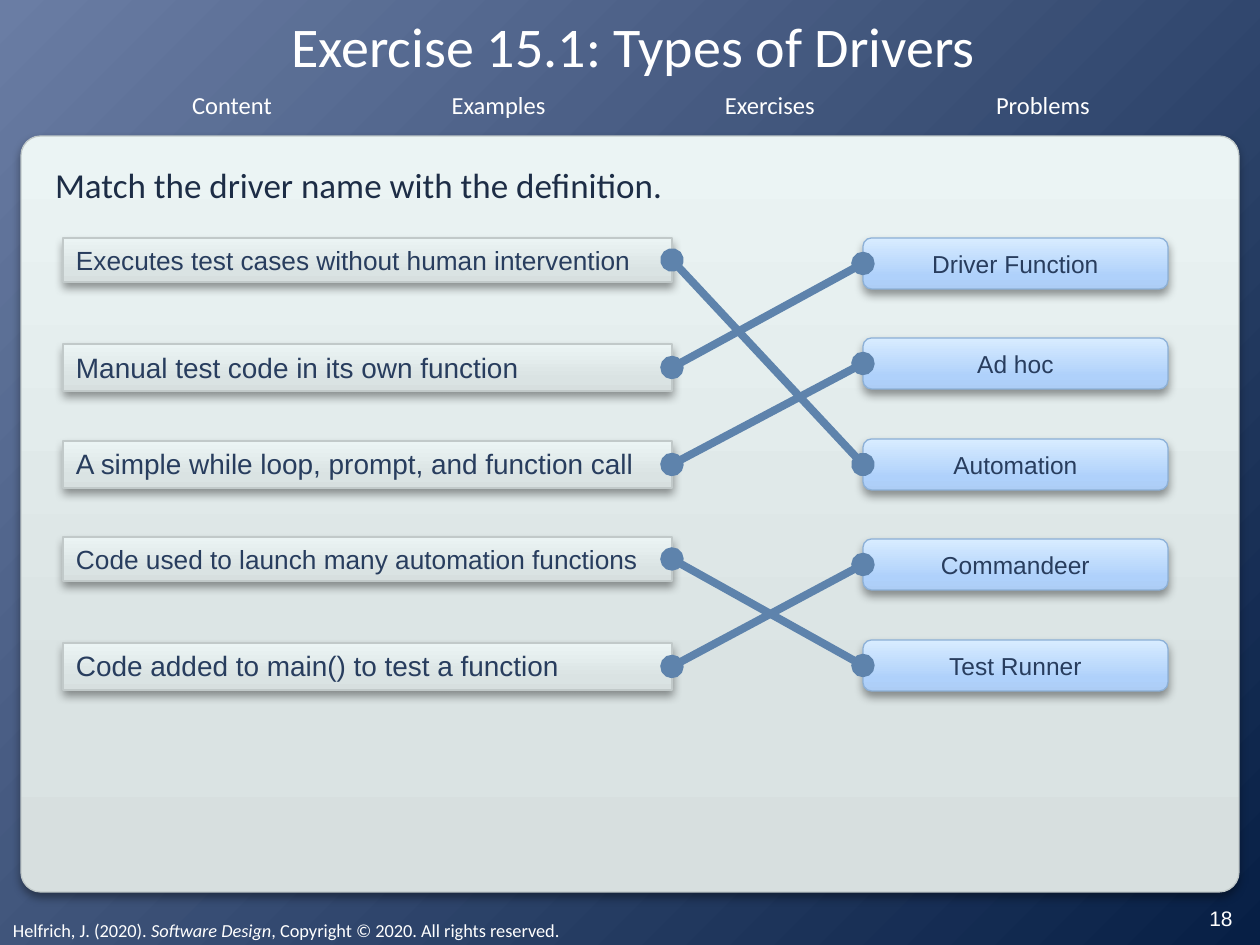
from copy import deepcopy

from lxml import etree
from pptx import Presentation
from pptx.dml.color import RGBColor
from pptx.enum.shapes import MSO_CONNECTOR as Connector, MSO_SHAPE as Shape
from pptx.enum.text import MSO_ANCHOR as Anchor, MSO_AUTO_SIZE as AutoSize, PP_ALIGN as Align
from pptx.oxml.ns import qn
from pptx.util import Pt

EMU_PER_PX = 914400 / 126
WIDTH, HEIGHT = 1260, 945
COLORS = {
    "backdrop_light": "6A7DA4", "backdrop_dark": "071F45",
    "gray_low": "D7DFDF", "gray_mid": "DAE3E3", "gray_high": "EBF4F4", "gray_edge": "C1C9C9",
    "blue_low": "ADCDF5", "blue_mid": "AFD1FB", "blue_high": "D8ECFF", "blue_edge": "8CB0D7",
    "white": "FFFFFF", "heading": "1D2D46", "label": "283D5E",
    "link": "5E83AC", "shadow": "000000",
}


def px(length):
    return round(length * EMU_PER_PX)


def rgb(name):
    return RGBColor.from_string(COLORS[name])


def write_text(shape, text, size=14, font="Calibri", color="white", align=Align.LEFT,
               anchor=Anchor.TOP, wrap=True, grow=False, inset=(13, 6)):
    """Write text, given as a string or as (words, italic) pairs."""
    frame = shape.text_frame
    frame.word_wrap = wrap
    frame.auto_size = AutoSize.SHAPE_TO_FIT_TEXT if grow else AutoSize.NONE
    frame.vertical_anchor = anchor
    frame.margin_left = frame.margin_right = px(inset[0])
    frame.margin_top = frame.margin_bottom = px(inset[1])
    paragraph = frame.paragraphs[0]
    paragraph.alignment = align
    for words, italic in [(text, False)] if isinstance(text, str) else text:
        run = paragraph.add_run()
        run.text = words
        run.font.size, run.font.name, run.font.italic = Pt(size), font, italic
        run.font.color.rgb = rgb(color)


class MatchingSlide:
    def __init__(self, presentation):
        self.slide = presentation.slides.add_slide(presentation.slide_layouts[6])
        self.shapes = self.slide.shapes

    def backdrop(self):
        fill = self.slide.background.fill
        fill.gradient()
        fill.gradient_angle = 315
        for stop, name in zip(fill.gradient_stops, ("backdrop_light", "backdrop_dark")):
            stop.color.rgb = rgb(name)

    def text(self, left, top, width, height, text, **style):
        box = self.shapes.add_textbox(px(left), px(top), px(width), px(height))
        write_text(box, text, **style)

    def card(self, kind, left, top, width, height, tone, corner=None):
        """Draw a shape with a vertical gradient, thin edge and soft shadow."""
        card = self.shapes.add_shape(kind, px(left), px(top), px(width), px(height))
        if corner is not None:
            card.adjustments[0] = corner
        card.fill.gradient()
        card.fill.gradient_angle = 90
        stop_list = card.element.spPr.find(".//" + qn("a:gsLst"))
        stop_list.append(deepcopy(stop_list[0]))
        levels = (("low", 0), ("mid", 0.25), ("high", 1))
        for stop, (level, position) in zip(card.fill.gradient_stops, levels):
            stop.color.rgb = rgb(f"{tone}_{level}")
            stop.position = position
        card.line.color.rgb = rgb(f"{tone}_edge")
        card.line.width = Pt(0.75)
        self.add_shadow(card)
        return card

    def add_shadow(self, shape):
        shape.shadow.inherit = False
        effects = shape.element.spPr.find(qn("a:effectLst"))
        shadow = etree.SubElement(effects, qn("a:outerShdw"), blurRad=str(Pt(5.2)),
                                  dist=str(Pt(3)), dir="5400000", rotWithShape="0")
        color = etree.SubElement(shadow, qn("a:srgbClr"), val=COLORS["shadow"])
        etree.SubElement(color, qn("a:alpha"), val="40000")

    def link(self, definition, driver):
        """Join the right side of a definition to the left side of a driver."""
        link = self.shapes.add_connector(Connector.STRAIGHT, 0, 0, 0, 0)
        link.begin_connect(definition, 3)
        link.end_connect(driver, 1)
        link.line.color.rgb = rgb("link")
        link.line.width = Pt(4.5)
        line = link.line._get_or_add_ln()
        for end in ("a:headEnd", "a:tailEnd"):
            etree.SubElement(line, qn(end), type="oval")
        etree.SubElement(link._element.spPr, qn("a:effectLst"))


def main():
    presentation = Presentation()
    presentation.slide_width, presentation.slide_height = px(WIDTH), px(HEIGHT)
    page = MatchingSlide(presentation)

    # Backdrop, panel and footer
    page.backdrop()
    page.card(Shape.ROUNDED_RECTANGLE, 21, 136, 1218, 756, "gray", corner=0.026)
    page.text(0, 913, 1134, 36, [("Helfrich, J. (2020). ", False), ("Software Design", True),
                                 (", Copyright © 2020. All rights reserved.", False)],
              size=10.5, grow=True)
    page.text(1179, 892, 84, 53, "18", size=12, font="Arial",
              align=Align.CENTER, anchor=Anchor.MIDDLE)

    # Section names
    for left, width, name in ((179, 106, "Content"), (438, 121, "Examples"),
                              (712, 116, "Exercises"), (983, 120, "Problems")):
        page.text(left, 84, width, 43, name, align=Align.CENTER, wrap=False, grow=True)

    # Title and task
    page.text(28, 14, 1211, 63, "Exercise 15.1: Types of Drivers", size=32,
              align=Align.CENTER, anchor=Anchor.MIDDLE, inset=(0, 0))
    page.text(42, 158, 1176, 63, "Match the driver name with the definition.",
              size=20, color="heading")

    # Driver names, evenly spaced
    drivers = {}
    for row, name in enumerate(("Driver Function", "Ad hoc", "Automation",
                                "Commandeer", "Test Runner")):
        drivers[name] = page.card(Shape.ROUNDED_RECTANGLE, 863, round(238 + 100.4 * row),
                                  305, 51, "blue", corner=0.167)
        write_text(drivers[name], name, font="Arial", color="label",
                   align=Align.CENTER, anchor=Anchor.MIDDLE)

    # Definitions, each linked to its driver
    for top, height, size, definition, driver in (
            (238, 44, 15, "Executes test cases without human intervention", "Automation"),
            (344, 47, 16, "Manual test code in its own function", "Driver Function"),
            (441, 47, 16, "A simple while loop, prompt, and function call", "Ad hoc"),
            (537, 44, 15, "Code used to launch many automation functions", "Test Runner"),
            (643, 47, 16, "Code added to main() to test a function", "Commandeer")):
        card = page.card(Shape.RECTANGLE, 63, top, 609, height, "gray")
        write_text(card, definition, size=size, font="Arial", color="label", grow=True)
        page.link(card, drivers[driver])

    presentation.save("out.pptx")


if __name__ == "__main__":
    main()
